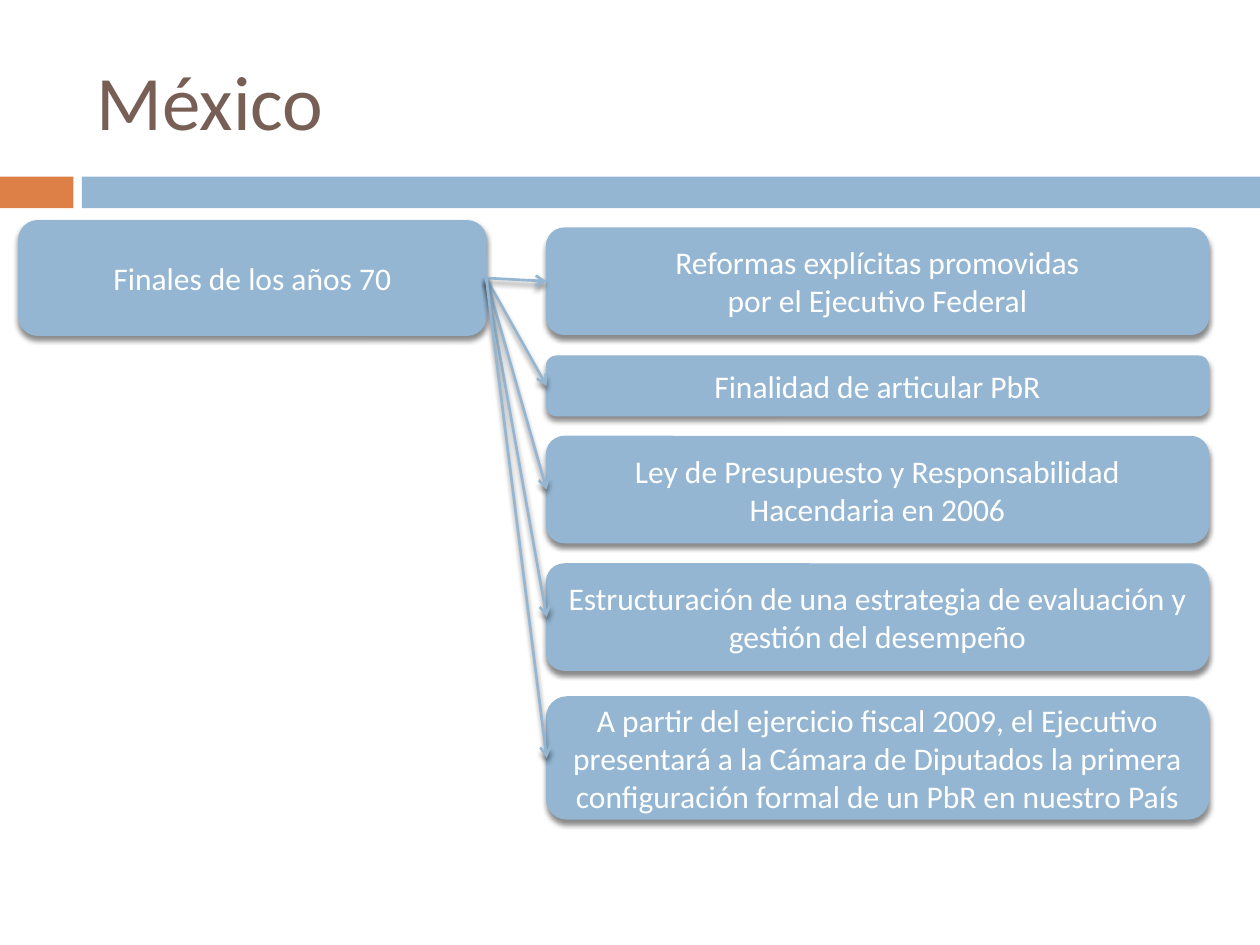
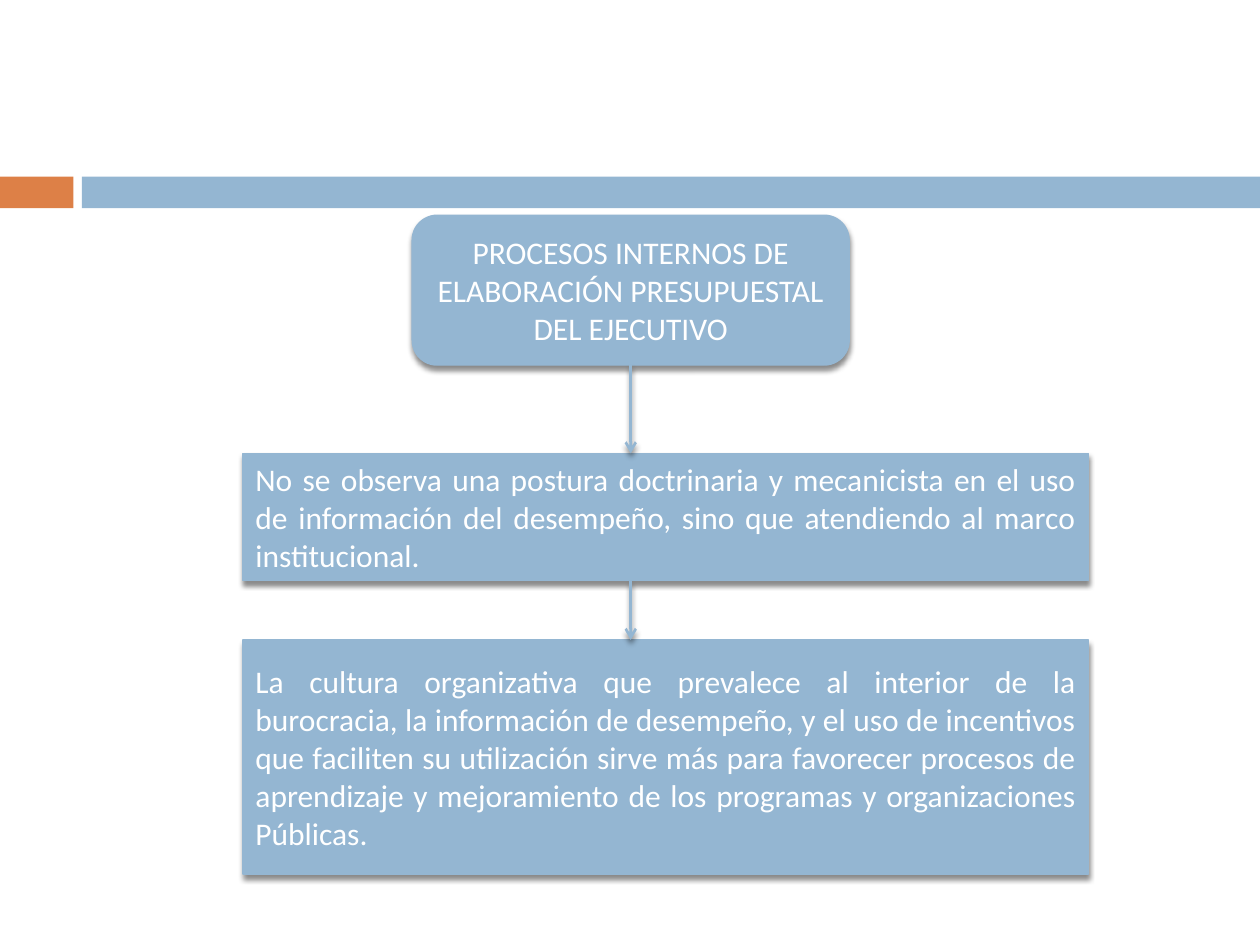
from lxml.etree import SubElement
from pptx import Presentation
from pptx.dml.color import RGBColor
from pptx.enum.shapes import MSO_CONNECTOR, MSO_SHAPE
from pptx.enum.text import MSO_ANCHOR, PP_ALIGN
from pptx.oxml.ns import qn
from pptx.util import Cm, Pt

BLUE, ORANGE, BROWN, WHITE = "94B6D2", "DD8047", "775F55", "FFFFFF"
LEFT, BOTTOM, RIGHT = 1, 2, 3


def rgb(code):
    return RGBColor.from_string(code)


def cast(effects):
    """Fill an effect list with the soft shadow below a shape."""
    shade = SubElement(effects, qn("a:outerShdw"), blurRad=str(Pt(3)),
                       dist=str(Pt(2.4)), dir="5400000", rotWithShape="0")
    tint = SubElement(shade, qn("a:srgbClr"), val="000000")
    SubElement(tint, qn("a:alpha"), val="45000")


class Deck:
    font = "Calibri"

    def __init__(self):
        self.prs = Presentation()
        self.prs.slide_width, self.prs.slide_height = Cm(25.4), Cm(19.05)

    def page(self, title=None):
        self.slide = self.prs.slides.add_slide(self.prs.slide_layouts[6])
        self.band(0, 1.48, ORANGE)
        self.band(1.65, 23.75, BLUE)
        if title:
            self.title(title)

    def shape(self, kind, place, color):
        item = self.slide.shapes.add_shape(kind, *map(Cm, place))
        item.shadow.inherit = False
        item.fill.solid()
        item.fill.fore_color.rgb = rgb(color)
        return item

    def band(self, left, width, color):
        self.shape(MSO_SHAPE.RECTANGLE, (left, 3.56, width, 0.64),
                   color).line.fill.background()

    def label(self, item, text, size, color, align):
        frame = item.text_frame
        frame.word_wrap = True
        frame.vertical_anchor = MSO_ANCHOR.MIDDLE
        frame.text = text
        for para in frame.paragraphs:
            para.alignment = align
            para.font.name = self.font
            para.font.size = Pt(size)
            para.font.color.rgb = rgb(color)

    def title(self, text):
        item = self.slide.shapes.add_textbox(*map(Cm, (1.7, 0.64, 22.66, 2.74)))
        self.label(item, text, 44, BROWN, PP_ALIGN.LEFT)

    def box(self, place, text, kind=MSO_SHAPE.ROUNDED_RECTANGLE,
            align=PP_ALIGN.CENTER):
        item = self.shape(kind, place, BLUE)
        item.line.color.rgb = rgb(BLUE)
        item.line.width = Pt(0.79)
        cast(item.element.spPr.find(qn("a:effectLst")))
        self.label(item, text, 18, WHITE, align)
        return item

    def arrow(self, start, end):
        """Draw an arrow between two points given as (x, y) lengths."""
        link = self.slide.shapes.add_connector(
            MSO_CONNECTOR.STRAIGHT, *start, *end)
        link.line.color.rgb = rgb(BLUE)
        link.line.width = Pt(1.5)
        props = link.element.spPr
        SubElement(props.find(qn("a:ln")), qn("a:tailEnd"), type="arrow")
        cast(SubElement(props, qn("a:effectLst")))
        return link


def reforms(deck):
    deck.page("México")
    cause = deck.box((0.38, 4.45, 9.42, 2.31), "Finales de los años 70")

    # Reforms: top, height, text
    steps = [
        (4.6, 2.14, "Reformas explícitas promovidas\npor el Ejecutivo Federal"),
        (7.18, 1.2, "Finalidad de articular PbR"),
        (8.8, 2.14, "Ley de Presupuesto y Responsabilidad Hacendaria en 2006"),
        (11.37, 2.14, "Estructuración de una estrategia de evaluación "
                      "y gestión del desempeño"),
        (14.05, 2.46, "A partir del ejercicio fiscal 2009, el Ejecutivo "
                      "presentará a la Cámara de Diputados la primera "
                      "configuración formal de un PbR en nuestro País"),
    ]
    goals = [deck.box((11.02, top, 13.34, height), text)
             for top, height, text in steps]

    # Arrows from the cause to each reform
    for goal in goals:
        link = deck.arrow((0, 0), (0, 0))
        link.begin_connect(cause, RIGHT)
        link.end_connect(goal, LEFT)


def process(deck):
    deck.page()
    head = deck.box((8.31, 4.34, 8.81, 3.02),
                    "PROCESOS INTERNOS DE ELABORACIÓN PRESUPUESTAL DEL EJECUTIVO")

    # Findings: top, height, text
    notes = [
        (9.14, 2.57, "No se observa una postura doctrinaria y mecanicista en "
                     "el uso de información del desempeño, sino que atendiendo "
                     "al marco institucional."),
        (12.9, 4.72, "La cultura organizativa que prevalece al interior de la "
                     "burocracia, la información de desempeño, y el uso de "
                     "incentivos que faciliten su utilización sirve más para "
                     "favorecer procesos de aprendizaje y mejoramiento de los "
                     "programas y organizaciones Públicas."),
    ]
    first, last = [deck.box((4.9, top, 17.04, height), text,
                            MSO_SHAPE.RECTANGLE, PP_ALIGN.JUSTIFY)
                   for top, height, text in notes]

    # Arrows run straight down from the middle of the heading
    axis = head.left + head.width // 2
    for upper, lower in ((head, first), (first, last)):
        link = deck.arrow((axis, upper.top + upper.height), (axis, lower.top))
        if upper is head:
            link.begin_connect(head, BOTTOM)


def main():
    deck = Deck()
    reforms(deck)
    process(deck)
    deck.prs.save("out.pptx")


if __name__ == "__main__":
    main()
